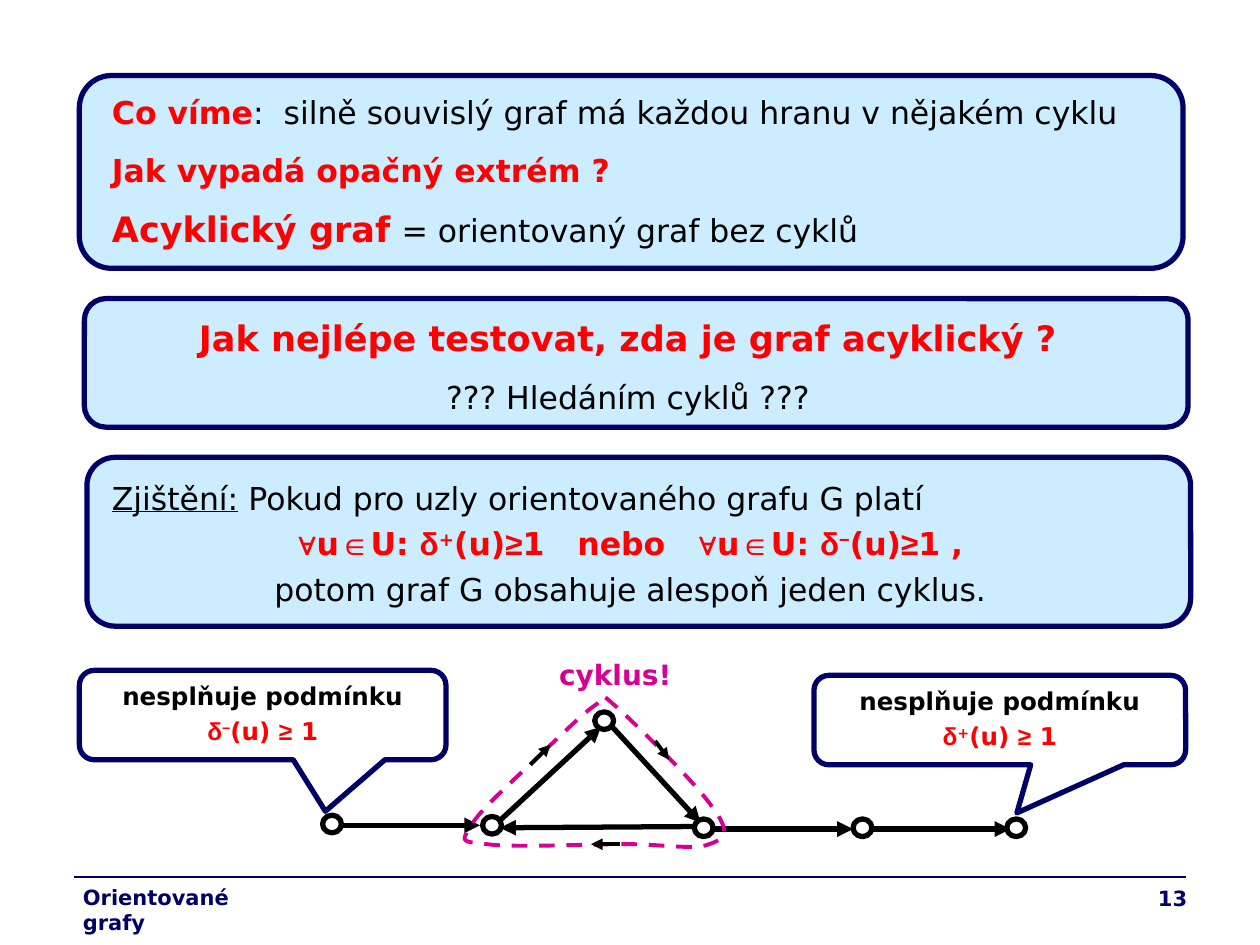
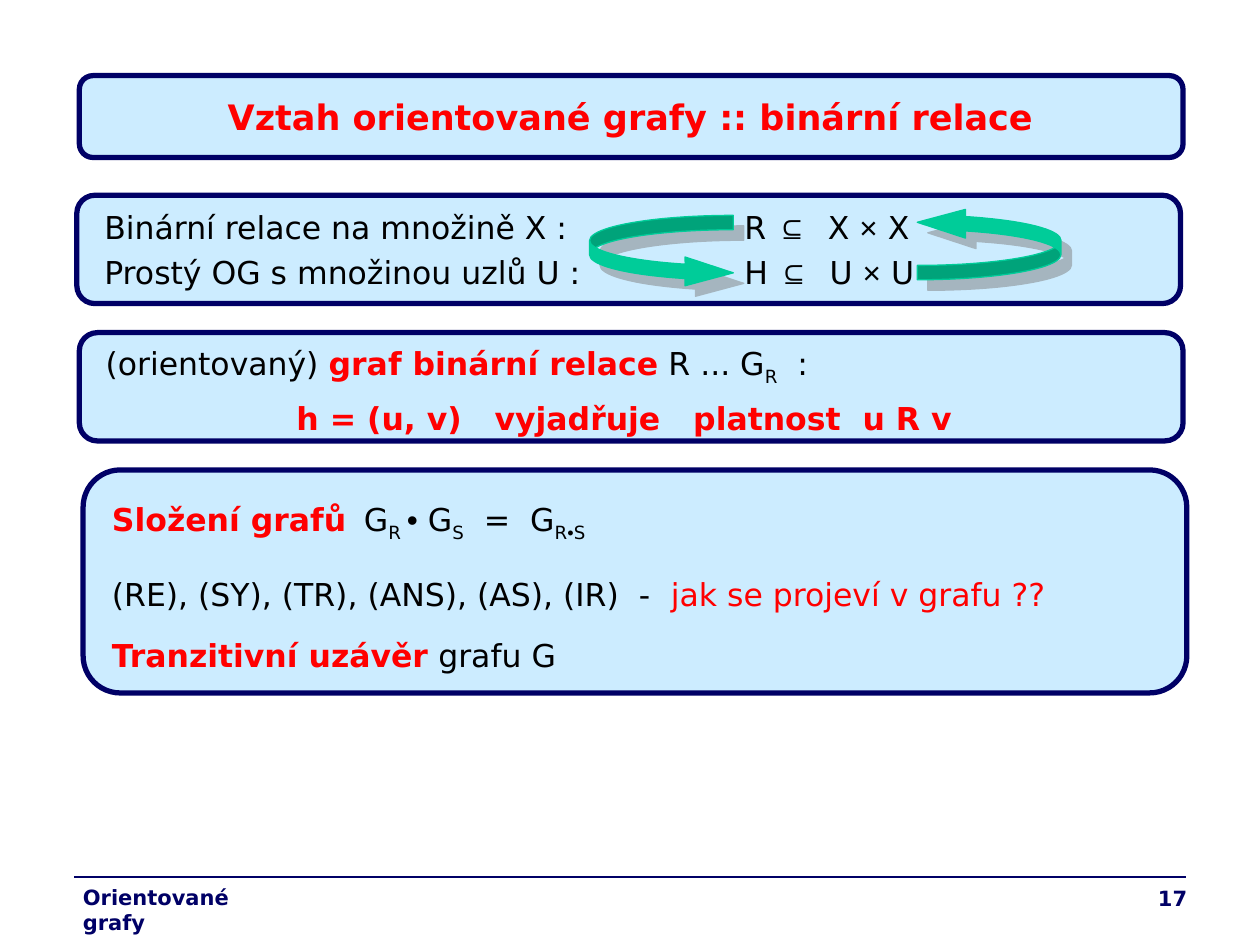
from dataclasses import dataclass
from itertools import groupby

from lxml import etree
from pptx import Presentation
from pptx.dml.color import RGBColor
from pptx.enum.dml import MSO_LINE
from pptx.enum.shapes import MSO_CONNECTOR, MSO_SHAPE as SHAPE
from pptx.enum.text import MSO_ANCHOR, PP_ALIGN as ALIGN
from pptx.oxml.ns import qn
from pptx.util import Inches, Pt

NAVY, PALE, RED, MAGENTA = "000066", "CCECFF", "FF0000", "D60093"
BLACK, WHITE, GREEN, GRAY = "000000", "FFFFFF", "00CC99", "808080"
FONT, SYMBOL_FONT = "DejaVu Sans", "Arial"
SYMBOLS = "∀∈δ≥⊆×•−"
COLOURS = {"r": RED, "n": NAVY, "m": MAGENTA}
BASELINES = {"^": "30000", "_": "-25000"}


def rgb(value):
    return RGBColor.from_string(value)


def bezier(start, curves, steps=12):
    """Points along a chain of cubic curves, each given as two controls and an end."""
    points = []
    for c1, c2, end in curves:
        for i in range(1, steps + 1):
            t = i / steps
            u = 1 - t
            weights = u**3, 3 * u * u * t, 3 * u * t * t, t**3
            points.append(tuple(
                sum(w * q[axis] for w, q in zip(weights, (start, c1, c2, end)))
                for axis in (0, 1)))
        start = end
    return points


@dataclass
class Para:
    """Runs are (text, flags): b bold, u underlined, t larger, ^ _ raised or
    lowered, and r, n, m for the colours."""
    runs: list
    before: float = 4.5
    after: float = 0
    align: ALIGN = ALIGN.LEFT
    tab: float = 0


class Deck:
    def __init__(self):
        self.prs = Presentation()
        self.prs.slide_width, self.prs.slide_height = Inches(10), Inches(7.5)
        self.s = None

    def new_slide(self, number):
        self.s = self.prs.slides.add_slide(self.prs.slide_layouts[6])
        self.line((0.59, 6.96), (9.41, 6.96), NAVY, 0.75)
        self.text((0.56, 6.97, 1.73, 0.5),
                  [Para([("Orientované grafy", "bn")], 3)], 12)
        self.text((7.44, 6.98, 2.08, 0.36),
                  [Para([(str(number), "bn")], 0, align=ALIGN.RIGHT)], 12)

    def line(self, start, end, colour=BLACK, width=3.0, arrow=False):
        sp = self.s.shapes.add_connector(
            MSO_CONNECTOR.STRAIGHT, *map(Inches, start + end))
        sp.line.color.rgb, sp.line.width = rgb(colour), Pt(width)
        if arrow:
            etree.SubElement(sp.line._get_or_add_ln(), qn("a:tailEnd"), type="triangle")
        etree.SubElement(sp._element.spPr, qn("a:effectLst"))

    def paint(self, sp, fill, line, width):
        sp.shadow.inherit = False
        if fill:
            sp.fill.solid()
            sp.fill.fore_color.rgb = rgb(fill)
        else:
            sp.fill.background()
        sp.line.color.rgb, sp.line.width = rgb(line), Pt(width)

    def shape(self, kind, box, fill, line=NAVY, width=3.0, adj=()):
        sp = self.s.shapes.add_shape(kind, *map(Inches, box))
        for i, value in enumerate(adj):
            sp.adjustments[i] = value
        self.paint(sp, fill, line, width)
        return sp

    def fill_text(self, tf, paras, size):
        tf.word_wrap = True
        tf.vertical_anchor = MSO_ANCHOR.TOP
        for i, para in enumerate(paras):
            p = tf.paragraphs[0] if i == 0 else tf.add_paragraph()
            p.alignment = para.align
            p.space_before, p.space_after = Pt(para.before), Pt(para.after)
            if para.tab:
                tabs = etree.SubElement(p._p.get_or_add_pPr(), qn("a:tabLst"))
                etree.SubElement(tabs, qn("a:tab"), pos=str(Inches(para.tab)), algn="l")
            for text, flags in para.runs:
                for is_symbol, chars in groupby(text, lambda c: c in SYMBOLS):
                    r = p.add_run()
                    r.text = "".join(chars)
                    self.style_run(r, flags, size, is_symbol)

    def style_run(self, r, flags, size, is_symbol):
        f = r.font
        f.name = SYMBOL_FONT if is_symbol else FONT
        f.size = Pt(size + 2 if "t" in flags else size)
        f.bold, f.underline = "b" in flags, "u" in flags
        f.color.rgb = rgb(next((COLOURS[k] for k in flags if k in COLOURS), BLACK))
        for flag, offset in BASELINES.items():
            if flag in flags:
                r._r.get_or_add_rPr().set("baseline", offset)

    def text(self, box, paras, size=18):
        sp = self.s.shapes.add_textbox(*map(Inches, box))
        self.fill_text(sp.text_frame, paras, size)

    def panel(self, box, text_box, paras):
        self.shape(SHAPE.ROUNDED_RECTANGLE, box, PALE)
        self.text(text_box, paras)

    def callout(self, box, tip, sign):
        sp = self.shape(SHAPE.ROUNDED_RECTANGULAR_CALLOUT, box, None, adj=(*tip, 0.167))
        self.fill_text(sp.text_frame, [
            Para([("nesplňuje podmínku", "b")], 3.5, align=ALIGN.CENTER),
            Para([("δ", "br"), (sign, "br^"), ("(u) ≥ 1", "br")], 3.5,
                 align=ALIGN.CENTER)], 14)

    def node(self, x, y):
        self.shape(SHAPE.OVAL, (x, y, 0.15, 0.14), WHITE, BLACK)

    def dashed_loop(self, start, curves):
        to_emu = lambda point: tuple(map(Inches, point))
        builder = self.s.shapes.build_freeform(*to_emu(start))
        builder.add_line_segments([to_emu(q) for q in bezier(start, curves)], close=True)
        sp = builder.convert_to_shape()
        self.paint(sp, None, MAGENTA, 2.25)
        sp.line.dash_style = MSO_LINE.DASH

    def curved_arrow(self, x, y, rotation=0):
        sp = self.shape(SHAPE.CURVED_RIGHT_ARROW, (x, y, 1.14, 0.57), GREEN, GREEN,
                        0.75, (0.2, 0.4, 0.67))
        sp.rotation = rotation
        effects = sp._element.spPr.find(qn("a:effectLst"))
        shadow = etree.SubElement(effects, qn("a:outerShdw"), dist=str(Pt(8.5)),
                                  dir="2700000", algn="ctr", rotWithShape="0")
        colour = etree.SubElement(shadow, qn("a:srgbClr"), val=GRAY)
        etree.SubElement(colour, qn("a:alpha"), val="50000")


def acyclic_slide(deck):
    deck.new_slide(13)
    deck.panel((0.63, 0.6, 8.76, 1.53), (0.79, 0.69, 8.43, 1.35), [
        Para([("Co víme", "br"),
              (":  silně souvislý graf má každou hranu v nějakém cyklu", "")], 11.2),
        Para([("Jak vypadá opačný extrém ?", "br")], 11.2),
        Para([("Acyklický graf", "brt"), (" ", "br"),
              ("= orientovaný graf bez cyklů", "")], 11.2)])
    deck.panel((0.67, 2.37, 8.76, 1.02), (0.77, 2.46, 8.43, 0.89), [
        Para([("Jak nejlépe testovat, zda je graf acyklický ?", "brt")], 12.5,
             align=ALIGN.CENTER),
        Para([("??? Hledáním cyklů ???", "")], 11.2, align=ALIGN.CENTER)])
    deck.panel((0.69, 3.63, 8.76, 1.34), (0.79, 3.75, 8.43, 1.13), [
        Para([("Zjištění:", "u"), (" Pokud pro uzly orientovaného grafu G platí", "")]),
        Para([("∀u∈U: δ", "br"), ("+", "br^"), ("(u)≥1   nebo   ∀u∈U: δ", "br"),
              ("−", "br^"), ("(u)≥1 ,", "br")], align=ALIGN.CENTER),
        Para([("potom graf G obsahuje alespoň jeden cyklus.", "")], align=ALIGN.CENTER)])

    edges = [((2.72, 6.55), (3.81, 6.55)), ((6.92, 6.58), (8.02, 6.58)),
             ((5.67, 6.58), (6.77, 6.58)), ((3.97, 6.51), (4.77, 5.77)),
             ((4.86, 5.77), (5.56, 6.53)), ((5.51, 6.56), (3.97, 6.57))]
    for start, end in edges:
        deck.line(start, end, arrow=True)
    for x, y in [(2.56, 6.47), (3.83, 6.48), (4.72, 5.65), (5.51, 6.5),
                 (6.77, 6.5), (7.99, 6.5)]:
        deck.node(x, y)

    deck.callout((0.63, 5.32, 2.91, 0.71), (0.171, 1.076), "−")
    deck.callout((6.46, 5.36, 2.95, 0.71), (0.046, 1.038), "+")

    deck.text((4.34, 5.17, 1.1, 0.37), [Para([("cyklus!", "bm")], 4)], 16)
    deck.dashed_loop((4.33, 5.95), [
        ((4.49, 5.8), (4.63, 5.66), (4.72, 5.6)),
        ((4.82, 5.54), (4.72, 5.46), (4.88, 5.6)),
        ((5.04, 5.74), (5.55, 6.24), (5.67, 6.43)),
        ((5.8, 6.61), (5.75, 6.66), (5.63, 6.7)),
        ((5.51, 6.75), (5.26, 6.7), (4.96, 6.7)),
        ((4.66, 6.7), (4.06, 6.73), (3.86, 6.7)),
        ((3.65, 6.68), (3.66, 6.68), (3.74, 6.55)),
        ((3.82, 6.41), (4.17, 6.11), (4.33, 5.95))])
    for start, end in [((4.21, 6.07), (4.37, 5.91)), ((5.2, 5.88), (5.31, 6.03)),
                       ((4.92, 6.7), (4.69, 6.7))]:
        deck.line(start, end, width=2.25, arrow=True)


def relation_slide(deck):
    deck.new_slide(17)
    deck.panel((0.63, 0.6, 8.76, 0.65), (0.79, 0.71, 8.43, 0.44), [
        Para([("Vztah orientované grafy :: binární relace", "brt")], 12.5,
             align=ALIGN.CENTER)])
    deck.panel((0.61, 1.55, 8.76, 0.86), (0.73, 1.6, 8.43, 0.77), [
        Para([("Binární relace na množině X :\tR ⊆  X × X", "")], tab=5.08),
        Para([("Prostý OG s množinou uzlů U :\tH ⊆  U × U", "")], tab=5.08)])
    deck.panel((0.66, 3.73, 8.76, 1.77), (0.79, 3.92, 8.53, 1.48), [
        Para([("Složení grafů\t", "br"), ("G", ""), ("R ", "_"), ("• G", ""),
              ("S", "_"), ("  =  G", ""), ("R•S", "_")], after=4.5, tab=2),
        Para([("(RE), (SY), (TR), (ANS), (AS), (IR)  -  ", ""),
              ("jak se projeví v grafu ??", "r")], 13.5),
        Para([("Tranzitivní uzávěr", "br"), (" grafu G", "")], 13.5)])
    deck.curved_arrow(7.28, 1.65, 180)
    deck.panel((0.63, 2.64, 8.76, 0.86), (0.74, 2.68, 8.43, 0.84), [
        Para([("(orientovaný) ", ""), ("graf binární relace", "br"),
              (" R ... G", ""), ("R", "_"), ("  :", "")], after=2.2),
        Para([("h = (u, v)   vyjadřuje   platnost  u R v", "br")], align=ALIGN.CENTER)])
    deck.curved_arrow(4.68, 1.71)


def main():
    deck = Deck()
    acyclic_slide(deck)
    relation_slide(deck)
    deck.prs.save("out.pptx")


if __name__ == "__main__":
    main()
